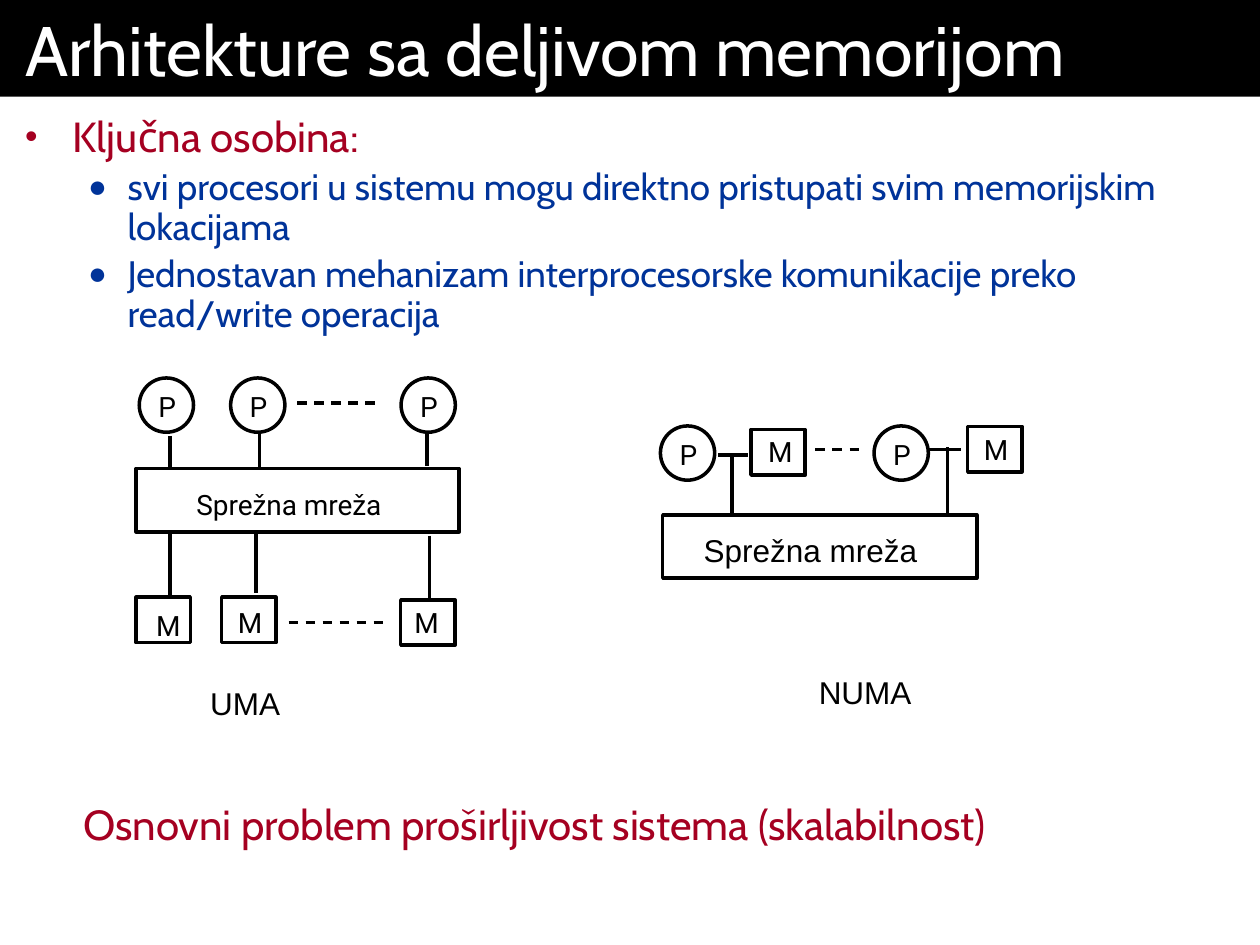
from lxml.etree import SubElement
from pptx import Presentation
from pptx.dml.color import RGBColor
from pptx.enum.shapes import MSO_CONNECTOR, MSO_SHAPE
from pptx.enum.text import MSO_ANCHOR, MSO_AUTO_SIZE, PP_ALIGN
from pptx.oxml.ns import qn
from pptx.util import Pt

BLACK = RGBColor(0, 0, 0)
WHITE = RGBColor(255, 255, 255)
CRIMSON = RGBColor(0xA5, 0x00, 0x21)
BLUE = RGBColor(0x00, 0x33, 0x99)

NODE_SIZE = 31
MEMORY_HEIGHT = 26
DASH_LENGTH = 5.4
DASH_STEP = 9.73


def add_run(paragraph, text, size, font, color):
    """Append one formatted run."""
    run = paragraph.add_run()
    run.text = text
    run.font.size = Pt(size)
    run.font.name = font
    run.font.color.rgb = color


def place(shape, left, top, width, height):
    """Move and size a shape."""
    shape.left, shape.top = Pt(left), Pt(top)
    shape.width, shape.height = Pt(width), Pt(height)


def set_margins(frame, horizontal, vertical):
    """Set the insets of a text frame."""
    frame.margin_left = frame.margin_right = Pt(horizontal)
    frame.margin_top = frame.margin_bottom = Pt(vertical)


def add_title(slide, text):
    """Fill the title placeholder as a black band."""
    title = slide.shapes.title
    place(title, 0, 0, 720, 55.3)
    title.fill.solid()
    title.fill.fore_color.rgb = BLACK
    frame = title.text_frame
    frame.auto_size = MSO_AUTO_SIZE.NONE
    frame.vertical_anchor = MSO_ANCHOR.MIDDLE
    set_margins(frame, 14.4, 3.6)
    paragraph = frame.paragraphs[0]
    paragraph.alignment = PP_ALIGN.LEFT
    add_run(paragraph, text, 40, "Cabin", WHITE)


def add_bullet(paragraph, character, color, margin, indent):
    """Give a paragraph a coloured bullet and a hanging indent."""
    properties = paragraph._p.get_or_add_pPr()
    properties.set("marL", str(Pt(margin)))
    properties.set("indent", str(Pt(-indent)))
    bullet_color = SubElement(properties, qn("a:buClr"))
    SubElement(bullet_color, qn("a:srgbClr"), val=str(color))
    SubElement(properties, qn("a:buSzPct"), val="85000")
    SubElement(properties, qn("a:buFont"), typeface="Arial")
    SubElement(properties, qn("a:buChar"), char=character)


def add_body(slide, heading, items):
    """Fill the body placeholder with a heading and its items."""
    body = slide.placeholders[1]
    place(body, 0, 55.6, 720, 160.4)
    frame = body.text_frame
    frame.auto_size = MSO_AUTO_SIZE.NONE
    frame.vertical_anchor = MSO_ANCHOR.TOP
    set_margins(frame, 14.4, 10.8)
    paragraph = frame.paragraphs[0]
    add_bullet(paragraph, "•", CRIMSON, 27, 27)
    paragraph.line_spacing = 0.9
    paragraph.space_before = Pt(0)
    add_run(paragraph, heading, 24, "Cabin", CRIMSON)
    for item in items:
        paragraph = frame.add_paragraph()
        paragraph.level = 1
        add_bullet(paragraph, "●", BLUE, 58.5, 22.5)
        paragraph.line_spacing = 0.9
        paragraph.space_before = Pt(4.2)
        add_run(paragraph, item, 21, "Cabin", BLUE)


def add_label(slide, text, left, top, width, height=26, size=16, font="Roboto",
              color=BLACK, anchor=MSO_ANCHOR.TOP):
    """Add a single-line text box."""
    label = slide.shapes.add_textbox(Pt(left), Pt(top), Pt(width), Pt(height))
    frame = label.text_frame
    frame.word_wrap = False
    frame.auto_size = MSO_AUTO_SIZE.SHAPE_TO_FIT_TEXT
    frame.vertical_anchor = anchor
    add_run(frame.paragraphs[0], text, size, font, color)


def add_outline(slide, kind, left, top, width, height):
    """Add a white shape with a black outline."""
    shape = slide.shapes.add_shape(kind, Pt(left), Pt(top), Pt(width), Pt(height))
    shape.shadow.inherit = False
    shape.fill.solid()
    shape.fill.fore_color.rgb = WHITE
    shape.line.color.rgb = BLACK
    shape.line.width = Pt(2)


def add_processor(slide, left, top):
    """Add a processor circle marked P."""
    add_outline(slide, MSO_SHAPE.OVAL, left, top, NODE_SIZE, NODE_SIZE)
    add_label(slide, "P", left + 3.8, top + 2.8, 25.2)


def add_memory(slide, left, top, label_x, label_y):
    """Add a memory box marked M, with the label offset from its corner."""
    add_outline(slide, MSO_SHAPE.RECTANGLE, left, top, NODE_SIZE, MEMORY_HEIGHT)
    add_label(slide, "M", left + label_x, top + label_y, 27.4)


def add_line(slide, start_x, start_y, end_x, end_y):
    """Add a straight black connector."""
    line = slide.shapes.add_connector(
        MSO_CONNECTOR.STRAIGHT, Pt(start_x), Pt(start_y), Pt(end_x), Pt(end_y))
    line.line.color.rgb = BLACK
    line.line.width = Pt(2)
    SubElement(line._element.spPr, qn("a:effectLst"))


def add_dashes(slide, left, y, count):
    """Add a row of short equal strokes."""
    for index in range(count):
        start = left + index * DASH_STEP
        add_line(slide, start, y, start + DASH_LENGTH, y)


def add_uma(slide):
    """Draw processors and memories on opposite sides of the network."""
    add_outline(slide, MSO_SHAPE.RECTANGLE, 77.8, 267.8, 184.5, 36.2)
    add_label(slide, "Sprežna mreža", 105.1, 275, 122.4)
    for left in (79.6, 131.8, 229.2):
        add_processor(slide, left, 216)
    for left, top, label_x, label_y in (
            (77.8, 341.3, 4.3, 2.9), (126.7, 341.3, 2.2, 1.4), (229, 342.7, 0.7, 0)):
        add_memory(slide, left, top, label_x, label_y)
    for x, start, end in (
            (97.2, 249.1, 267.8), (148.3, 247.7, 267.8), (244.1, 247.7, 266.4),
            (97.2, 304.6, 341.3), (146.2, 304.6, 339.1), (245.5, 306, 342.7)):
        add_line(slide, x, start, x, end)
    add_dashes(slide, 169.9, 230.4, 5)
    add_dashes(slide, 164.9, 355.7, 6)
    add_label(slide, "UMA", 113, 387, 54.7, 28.8, 18, "Arial", anchor=MSO_ANCHOR.BOTTOM)


def add_numa(slide):
    """Draw processor and memory pairs above the network."""
    add_outline(slide, MSO_SHAPE.RECTANGLE, 378.7, 294.2, 179.5, 36.2)
    add_label(slide, "Sprežna mreža", 395, 300.2, 142, 28.8, 18, "Arial")
    for left in (377.4, 499.5):
        add_processor(slide, left, 243.4)
    add_memory(slide, 429.2, 245.5, 2.6, -0.7)
    add_memory(slide, 553, 243.6, 2.2, -0.2)
    add_line(slide, 410.4, 259.9, 427.7, 259.9)
    add_line(slide, 530.6, 257, 549.4, 257)
    add_line(slide, 418.3, 259.2, 418.3, 293.8)
    add_line(slide, 541.4, 255.6, 541.4, 293.8)
    add_dashes(slide, 466, 257, 3)
    add_label(slide, "NUMA", 460.8, 381, 67.7, 28.8, 18, "Arial", anchor=MSO_ANCHOR.BOTTOM)


def main():
    """Build and save the slide."""
    presentation = Presentation()
    presentation.slide_width, presentation.slide_height = Pt(720), Pt(540)
    slide = presentation.slides.add_slide(presentation.slide_layouts[1])
    add_title(slide, "Arhitekture sa deljivom memorijom")
    add_body(slide, "Ključna osobina:", (
        "svi procesori u sistemu mogu direktno pristupati svim memorijskim lokacijama",
        "Jednostavan mehanizam interprocesorske komunikacije preko read/write operacija"))
    add_uma(slide)
    add_numa(slide)
    add_label(slide, "Osnovni problem proširljivost sistema (skalabilnost)", 40.5, 452.9,
              559, 36, 24, "Cabin", CRIMSON, MSO_ANCHOR.BOTTOM)
    presentation.save("out.pptx")


if __name__ == "__main__":
    main()
